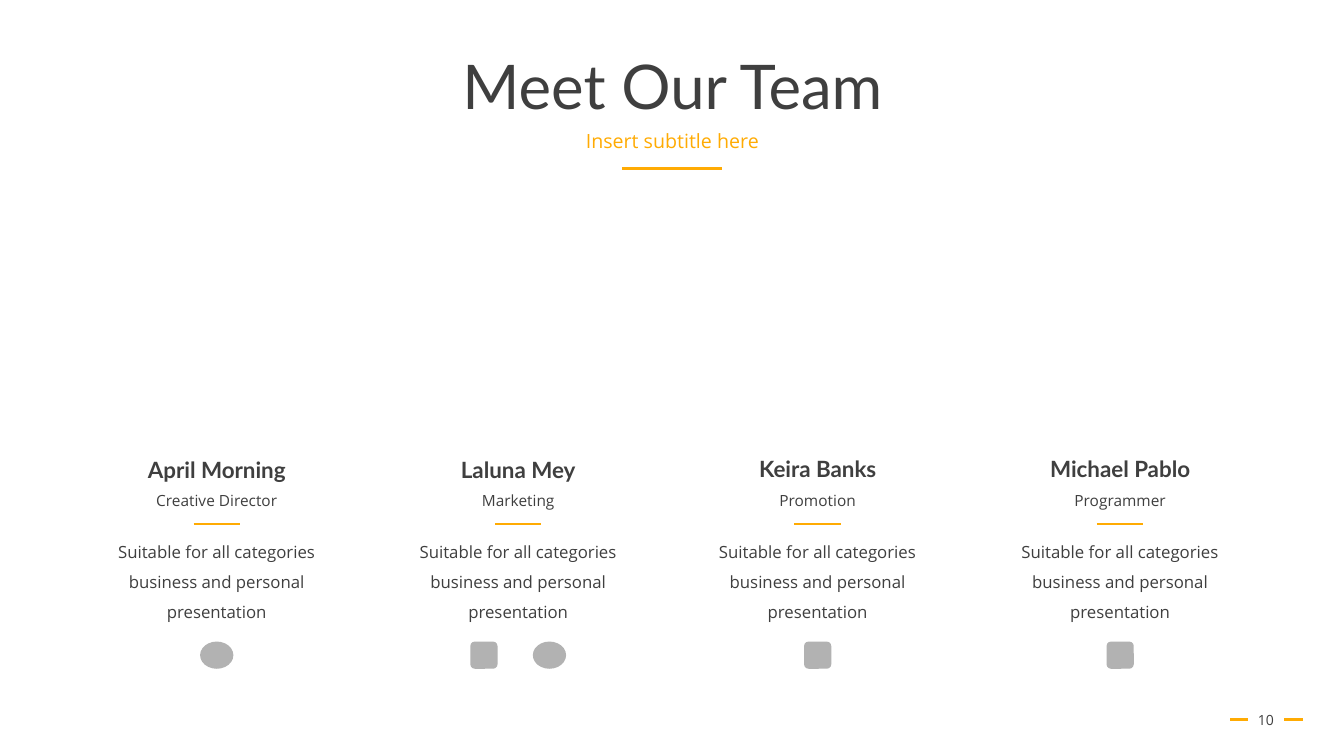
from dataclasses import dataclass

from lxml.etree import SubElement
from pptx import Presentation
from pptx.dml.color import RGBColor
from pptx.enum.shapes import MSO_CONNECTOR as Connector, MSO_SHAPE as Preset
from pptx.enum.text import MSO_ANCHOR as Anchor, MSO_AUTO_SIZE as AutoSize, PP_ALIGN as Align
from pptx.oxml.ns import qn
from pptx.util import Inches, Pt


@dataclass(frozen=True)
class Theme:
    """Colours, fonts and type sizes of the slide."""
    ink: RGBColor = RGBColor(0x3F, 0x3F, 0x3F)
    accent: RGBColor = RGBColor(0xFF, 0xAB, 0x03)
    icon: RGBColor = RGBColor(0xB2, 0xB2, 0xB2)
    heading_font: str = "Lato"
    body_font: str = "Open Sans"
    title_size: int = 44
    name_size: int = 16
    subtitle_size: int = 14
    description_size: int = 12
    role_size: int = 11
    number_size: int = 10
    rule_width: float = 1.75


theme = Theme()
deck = Presentation()
deck.slide_width, deck.slide_height = Inches(13.33), Inches(7.5)
page = deck.slides.add_slide(deck.slide_layouts[1])


def write(box, text, size, font=theme.body_font, color=theme.ink, bold=False,
          spacing=1.0, anchor=Anchor.TOP):
    """Put one centred, formatted paragraph into a box and return it."""
    frame = box.text_frame
    frame.word_wrap = True
    frame.auto_size = AutoSize.NONE
    frame.vertical_anchor = anchor
    para = frame.paragraphs[0]
    para.alignment = Align.CENTER
    para.line_spacing = spacing
    span = para.add_run()
    span.text = text
    span.font.name, span.font.size, span.font.bold = font, Pt(size), bold
    span.font.color.rgb = color
    return para


def add_rule(left, top, width):
    """Draw a horizontal accent line without a shadow."""
    rule = page.shapes.add_connector(
        Connector.STRAIGHT, Inches(left), Inches(top), Inches(left + width), Inches(top))
    rule.line.color.rgb = theme.accent
    rule.line.width = Pt(theme.rule_width)
    SubElement(rule._element.spPr, qn("a:effectLst"))


# Heading
title, subtitle = page.shapes.title, page.placeholders[1]
for box, top, height in ((title, 0.4, 0.98), (subtitle, 1.26, 0.4)):
    box.left, box.top = Inches(0.92), Inches(top)
    box.width, box.height = Inches(11.5), Inches(height)
write(title, "Meet Our Team", theme.title_size, theme.heading_font,
      spacing=0.9, anchor=Anchor.MIDDLE)
para = write(subtitle, "Insert subtitle here", theme.subtitle_size,
             color=theme.accent, spacing=0.9)
para.space_before = Pt(10)
properties = para._p.get_or_add_pPr()
properties.set("marL", "0")
properties.set("indent", "0")
SubElement(properties, qn("a:buNone"))
add_rule(6.17, 1.67, 0.99)

# Team: column centre, top of the name, name, role, icons as (preset, offset, width)
square, disc = Preset.ROUNDED_RECTANGLE, Preset.OVAL
team = (
    (2.15, 4.48, "April Morning", "Creative Director", [(disc, 0, 0.33)]),
    (5.14, 4.48, "Laluna Mey", "Marketing", [(square, -0.34, 0.27), (disc, 0.31, 0.33)]),
    (8.11, 4.47, "Keira Banks", "Promotion", [(square, 0, 0.27)]),
    (11.11, 4.47, "Michael Pablo", "Programmer", [(square, 0, 0.27)]),
)
description = "Suitable for all categories business and personal presentation"
icon_height, icon_middle = 0.27, 6.5

for center, name_top, name, role, icons in team:
    lines = (
        (name, name_top, 2.28, 0.37, theme.name_size, theme.heading_font, True, 1.0),
        (role, 4.82, 2.28, 0.29, theme.role_size, theme.body_font, False, 1.0),
        (description, 5.22, 2.53, 0.98, theme.description_size, theme.body_font, False, 1.5),
    )
    for text, top, width, height, size, font, bold, spacing in lines:
        box = page.shapes.add_textbox(
            Inches(center - width / 2), Inches(top), Inches(width), Inches(height))
        write(box, text, size, font, bold=bold, spacing=spacing)
    add_rule(center - 0.23, 5.2, 0.46)
    for preset, offset, width in icons:
        icon = page.shapes.add_shape(
            preset, Inches(center + offset - width / 2), Inches(icon_middle - icon_height / 2),
            Inches(width), Inches(icon_height))
        icon.shadow.inherit = False
        icon.fill.solid()
        icon.fill.fore_color.rgb = theme.icon
        icon.line.fill.background()

# Page number between two short rules
number = page.shapes.add_textbox(Inches(12.26), Inches(6.94), Inches(0.59), Inches(0.4))
write(number, "10", theme.number_size, anchor=Anchor.MIDDLE)
for left in (12.2, 12.74):
    add_rule(left, 7.14, 0.18)

deck.save("out.pptx")
